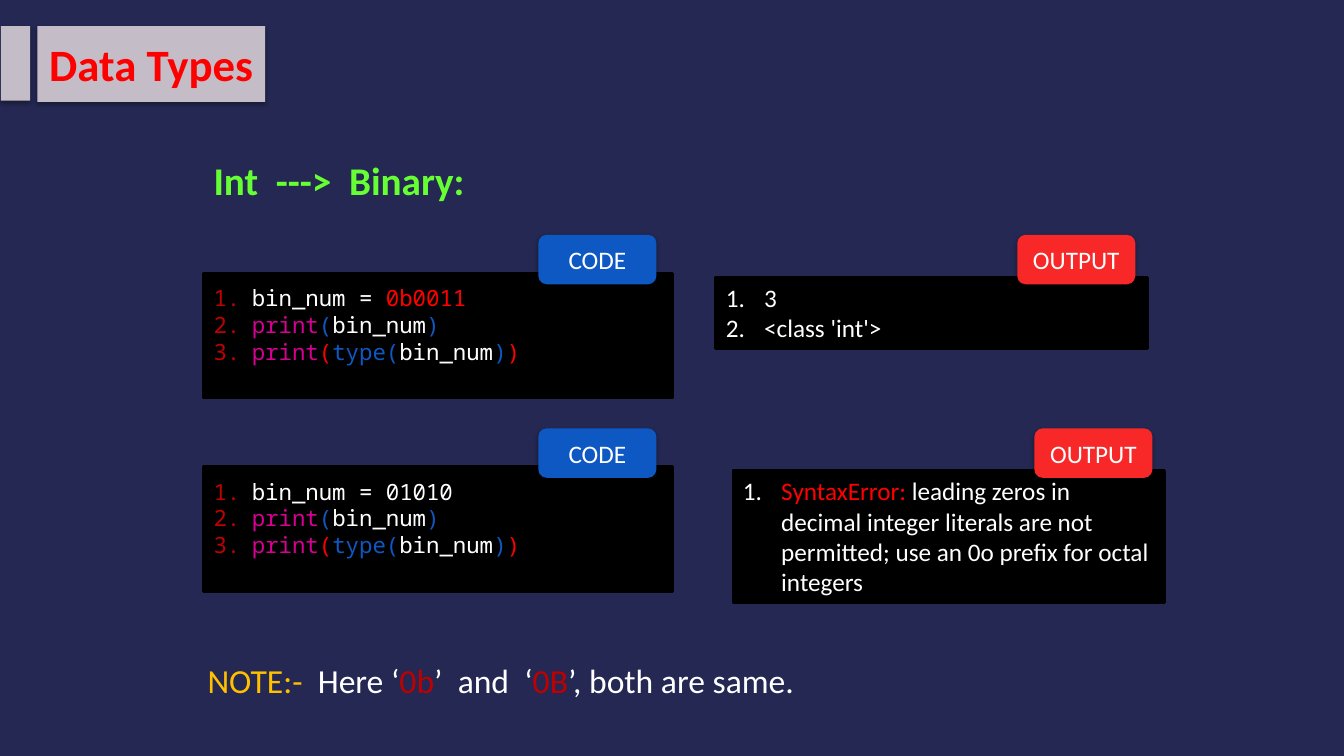
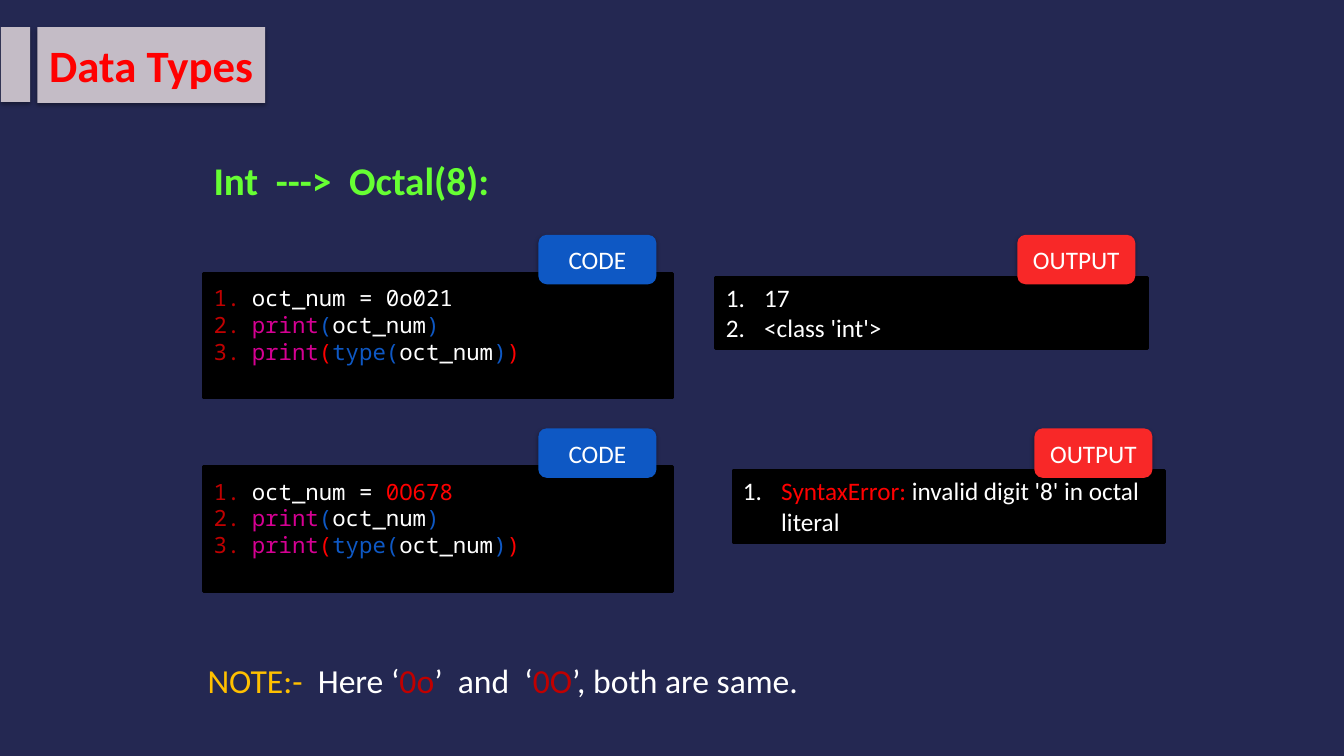
from lxml import etree
from pptx import Presentation
from pptx import util as u
from pptx.dml.color import RGBColor
from pptx.enum import shapes, text
from pptx.oxml import ns

NAVY = RGBColor(0x24, 0x28, 0x52)
MAUVE = RGBColor(0xC4, 0xBC, 0xC6)
BLACK = RGBColor(0, 0, 0)
WHITE = RGBColor(0xFF, 0xFF, 0xFF)
RED = RGBColor(0xFF, 0, 0)
DARK_RED = RGBColor(0xC0, 0, 0)
TAB_RED = RGBColor(0xF8, 0x28, 0x28)
BLUE = RGBColor(0x0E, 0x58, 0xC4)
PINK = RGBColor(0xD6, 0, 0x93)
GREEN = RGBColor(0x66, 0xFF, 0x33)
AMBER = RGBColor(0xFF, 0xC0, 0)

RECTANGLE = shapes.MSO_SHAPE.RECTANGLE
ROUNDED = shapes.MSO_SHAPE.ROUNDED_RECTANGLE
CODE_LEFT = 2.02
INDENT = 0.38


def add_child(parent, tag, **attributes):
    return etree.SubElement(parent, ns.qn(tag), **attributes)


class LessonDeck:
    font = "Calibri"
    code_font = "Noto Sans Mono"

    def __init__(self):
        self.deck = Presentation()
        self.deck.slide_width = u.Inches(13.33)
        self.deck.slide_height = u.Inches(7.5)
        background = self.deck.slide_master.background.fill
        background.solid()
        background.fore_color.rgb = NAVY
        self.page = None

    def place(self, shape, left, top, width, height):
        shape.left, shape.top = u.Inches(left), u.Inches(top)
        shape.width, shape.height = u.Inches(width), u.Inches(height)

    def paint(self, shape, colour):
        shape.fill.solid()
        shape.fill.fore_color.rgb = colour

    def cast_shadow(self, shape):
        effects = add_child(shape._element.spPr, "a:effectLst")
        shadow = add_child(effects, "a:outerShdw", blurRad="40000", dist="23000",
                           dir="5400000", rotWithShape="0")
        colour = add_child(shadow, "a:srgbClr", val=str(BLACK))
        add_child(colour, "a:alpha", val="35000")

    def block(self, parent, kind, at, colour, shadow=True):
        box = parent.shapes.add_shape(kind, *map(u.Inches, at))
        self.paint(box, colour)
        if shadow:
            box.line.fill.background()
            self.cast_shadow(box)
        else:
            box.shadow.inherit = False
            box.line.color.rgb = colour
            box.line.width = u.Pt(2)
        return box

    def text_box(self, parent, *at):
        box = parent.shapes.add_textbox(*map(u.Inches, at))
        box.text_frame.word_wrap = True
        return box

    def add_lines(self, box, lines, size, font=None, bold=False,
                  align=text.PP_ALIGN.LEFT, numbers=None):
        frame = box.text_frame
        for index, spans in enumerate(lines):
            para = frame.add_paragraph() if index else frame.paragraphs[0]
            para.alignment = align
            para.font.name = font or self.font
            para.font.size = u.Pt(size)
            para.font.bold = bold
            if numbers is not None:
                self.number(para, numbers)
            for words, colour in spans:
                span = para.add_run()
                span.text = words
                span.font.color.rgb = colour

    def number(self, para, colour):
        properties = para._p.get_or_add_pPr()
        properties.set("marL", str(u.Inches(INDENT)))
        properties.set("indent", str(-u.Inches(INDENT)))
        bullet_colour = etree.Element(ns.qn("a:buClr"))
        add_child(bullet_colour, "a:srgbClr", val=str(colour))
        numbering = etree.Element(ns.qn("a:buAutoNum"), type="arabicPeriod")
        properties.insert(0, bullet_colour)
        properties.insert(1, numbering)

    def start_page(self, title, top):
        self.page = self.deck.slides.add_slide(self.deck.slide_layouts[5])
        self.block(self.page, RECTANGLE, (0.01, top, 0.29, 0.74), MAUVE)
        box = self.page.shapes.title
        self.place(box, 0.37, top, 2.26, 0.75)
        self.paint(box, MAUVE)
        self.cast_shadow(box)
        frame = box.text_frame
        frame.auto_size = text.MSO_AUTO_SIZE.NONE
        frame.word_wrap = False
        frame.vertical_anchor = text.MSO_ANCHOR.MIDDLE
        self.add_lines(box, [[(title, RED)]], 32, bold=True, align=text.PP_ALIGN.CENTER)

    def heading(self, words):
        box = self.text_box(self.page, CODE_LEFT, 1.5, 3.33, 0.67)
        self.add_lines(box, [[(words, GREEN)]], 28, bold=True)
        box.text_frame.paragraphs[0].space_before = u.Pt(5.6)

    def tab(self, group, label, left, top, colour):
        box = self.block(group, ROUNDED, (left, top, 1.17, 0.49), colour)
        box.text_frame.vertical_anchor = text.MSO_ANCHOR.MIDDLE
        self.add_lines(box, [[(label, WHITE)]], 18, align=text.PP_ALIGN.CENTER)

    def code(self, top, lines):
        group = self.page.shapes.add_group_shape()
        self.block(group, RECTANGLE, (CODE_LEFT, top + 0.38, 4.65, 1.24), BLACK, shadow=False)
        self.tab(group, "CODE", CODE_LEFT + 3.32, top, BLUE)
        box = self.text_box(group, CODE_LEFT, top + 0.44, 4.66, 1.18)
        self.add_lines(box, lines, 16, font=self.code_font, numbers=DARK_RED)

    def output(self, left, top, lines, rows):
        group = self.page.shapes.add_group_shape()
        box = self.block(group, RECTANGLE, (left, top + 0.42, 4.28, 0.11 + 0.3 * rows),
                         BLACK, shadow=False)
        box.text_frame.vertical_anchor = text.MSO_ANCHOR.TOP
        self.add_lines(box, lines, 18, numbers=WHITE)
        self.tab(group, "OUTPUT", left + 2.99, top, TAB_RED)

    def note(self, prefixes, width):
        box = self.text_box(self.page, 1.96, 6.5, width, 0.5)
        box.text_frame.word_wrap = False
        box.text_frame.auto_size = text.MSO_AUTO_SIZE.SHAPE_TO_FIT_TEXT
        lower, upper = prefixes
        self.add_lines(box, [[("NOTE:- ", AMBER), (" Here ‘", WHITE), (lower, DARK_RED),
                              ("’  and  ‘", WHITE), (upper, DARK_RED),
                              ("’, both are same.", WHITE)]], 24)


def program(name, value, colour):
    return [
        [(name + " = ", WHITE), (value, colour)],
        [("print", PINK), ("(", BLUE), (name, WHITE), (")", BLUE)],
        [("print", PINK), ("(", RED), ("type(", BLUE), (name, WHITE), (")", BLUE), (")", RED)],
    ]


LESSONS = [
    dict(title_top=0.26, heading="Int  --->  Binary:", name="bin_num",
         valid=("0b0011", RED), result="3", invalid=("01010", WHITE),
         error="leading zeros in decimal integer literals are not permitted; "
               "use an 0o prefix for octal integers",
         error_rows=4, prefixes=("0b", "0B"), note_width=6.02),
    dict(title_top=0.27, heading="Int  --->  Octal(8):", name="oct_num",
         valid=("0o021", WHITE), result="17", invalid=("0O678", RED),
         error="invalid digit '8' in octal literal",
         error_rows=2, prefixes=("0o", "0O"), note_width=6.11),
]
VALID_TOP, INVALID_TOP = 2.33, 4.25

lessons = LessonDeck()
for lesson in LESSONS:
    lessons.start_page("Data Types", lesson["title_top"])
    lessons.heading(lesson["heading"])
    lessons.code(VALID_TOP, program(lesson["name"], *lesson["valid"]))
    lessons.output(7.1, VALID_TOP,
                   [[(lesson["result"], WHITE)], [("<class 'int'>", WHITE)]], 2)
    lessons.code(INVALID_TOP, program(lesson["name"], *lesson["invalid"]))
    lessons.output(7.27, INVALID_TOP,
                   [[("SyntaxError: ", RED), (lesson["error"], WHITE)]], lesson["error_rows"])
    lessons.note(lesson["prefixes"], lesson["note_width"])
lessons.deck.save("out.pptx")
